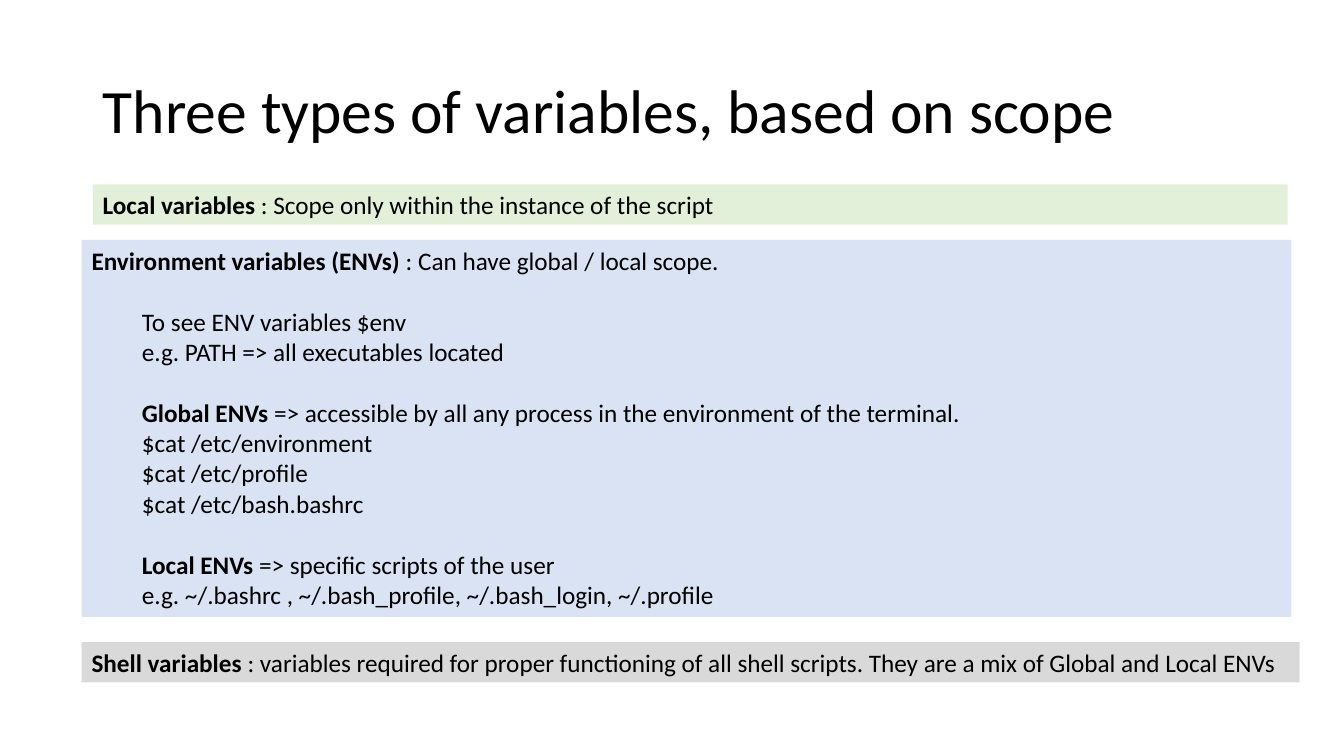
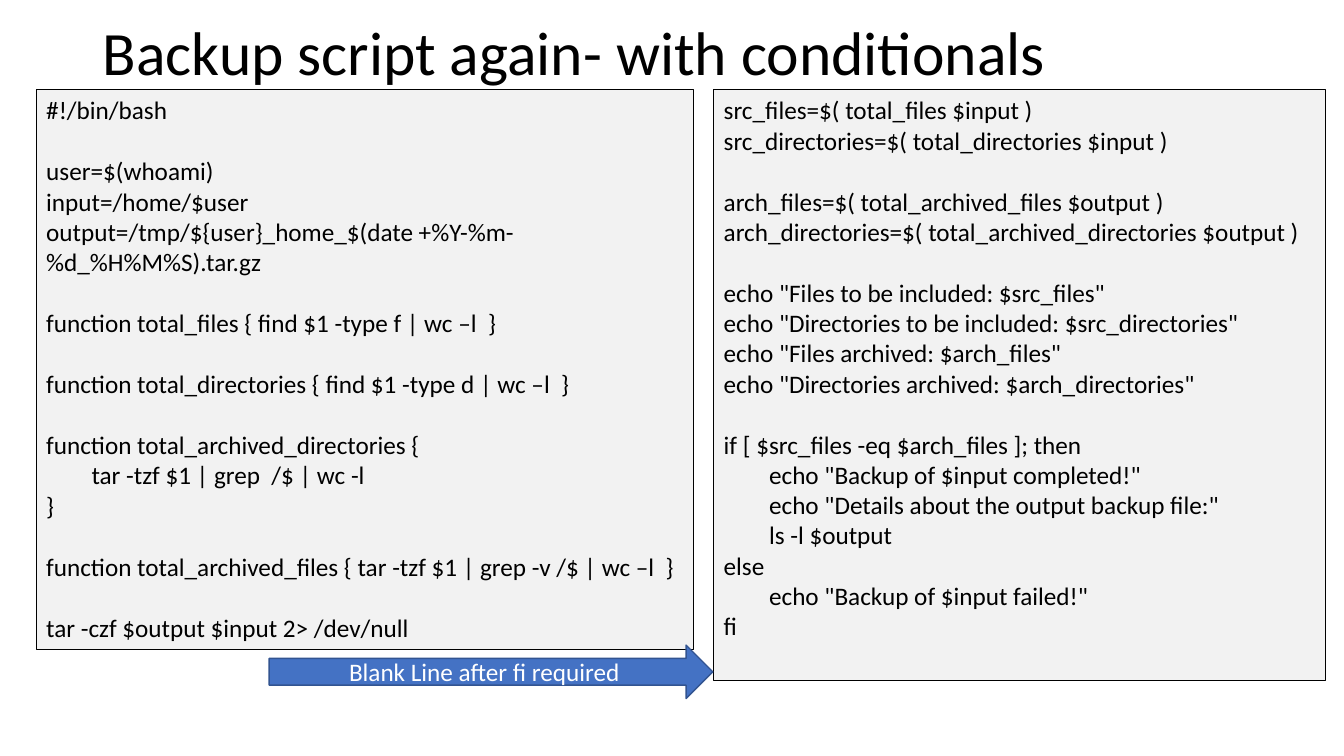
from pptx import Presentation
from pptx.dml.color import RGBColor
from pptx.enum.shapes import MSO_SHAPE
from pptx.enum.text import MSO_ANCHOR, MSO_AUTO_SIZE, PP_ALIGN
from pptx.util import Inches, Pt

FONT = "Calibri"
TEXT_SIZE = 18
TITLE_SIZE = 44
LINE_GAP = 22  # one text line, in points
CODE_INDENT = 0.45
LIST_INDENT = 0.5
COLORS = {
    "text": "000000",
    "white": "FFFFFF",
    "local": "E2F0D9",
    "environment": "DAE3F3",
    "shell": "D9D9D9",
    "code": "F2F2F2",
    "arrow": "4472C4",
    "arrow_edge": "325491",
}

# Each entry: bold lead, plain text, indent, gap before
LOCAL_LINES = [
    ("Local variables ", ": Scope only within the instance of the script", 0, False),
]
ENVIRONMENT_LINES = [
    ("Environment variables (ENVs) ", ": Can have global / local scope.", 0, False),
    ("", "To see ENV variables $env", LIST_INDENT, True),
    ("", "e.g. PATH => all executables located", LIST_INDENT, False),
    ("Global ENVs ", "=> accessible by all any process in the environment of the terminal.",
     LIST_INDENT, True),
    ("", "$cat /etc/environment", LIST_INDENT, False),
    ("", "$cat /etc/profile", LIST_INDENT, False),
    ("", "$cat /etc/bash.bashrc", LIST_INDENT, False),
    ("Local ENVs ", "=> specific scripts of the user", LIST_INDENT, True),
    ("", "e.g. ~/.bashrc , ~/.bash_profile, ~/.bash_login, ~/.profile", LIST_INDENT, False),
]
SHELL_LINES = [
    ("Shell variables ", ": variables required for proper functioning of all shell scripts. "
     "They are a mix of Global and Local ENVs", 0, False),
]

FUNCTIONS_CODE = """#!/bin/bash

user=$(whoami)
input=/home/$user
output=/tmp/${user}_home_$(date +%Y-%m-%d_%H%M%S).tar.gz

function total_files { find $1 -type f | wc –l  }

function total_directories { find $1 -type d | wc –l  }

function total_archived_directories {
    tar -tzf $1 | grep  /$ | wc -l
}

function total_archived_files { tar -tzf $1 | grep -v /$ | wc –l  }

tar -czf $output $input 2> /dev/null"""

REPORT_CODE = """src_files=$( total_files $input )
src_directories=$( total_directories $input )

arch_files=$( total_archived_files $output )
arch_directories=$( total_archived_directories $output )

echo "Files to be included: $src_files"
echo "Directories to be included: $src_directories"
echo "Files archived: $arch_files"
echo "Directories archived: $arch_directories"

if [ $src_files -eq $arch_files ]; then
    echo "Backup of $input completed!"
    echo "Details about the output backup file:"
    ls -l $output
else
    echo "Backup of $input failed!"
fi"""


def rgb(name):
    return RGBColor.from_string(COLORS[name])


def add_span(para, text, size=TEXT_SIZE, color="text", bold=False):
    span = para.add_run()
    span.text = text
    span.font.name = FONT
    span.font.size = Pt(size)
    span.font.bold = bold
    span.font.color.rgb = rgb(color)


def add_box(page, region, fill, edge=None, edge_width=0.75, kind=MSO_SHAPE.RECTANGLE):
    box = page.shapes.add_shape(kind, *map(Inches, region))
    box.shadow.inherit = False
    box.fill.solid()
    box.fill.fore_color.rgb = rgb(fill)
    if edge:
        box.line.color.rgb = rgb(edge)
        box.line.width = Pt(edge_width)
    else:
        box.line.fill.background()
    box.text_frame.word_wrap = True
    return box


def add_text_panel(page, region, lines, fill, edge=None):
    frame = add_box(page, region, fill, edge).text_frame
    frame.vertical_anchor = MSO_ANCHOR.TOP
    for number, (lead, text, indent, gap) in enumerate(lines):
        para = frame.add_paragraph() if number else frame.paragraphs[0]
        para.alignment = PP_ALIGN.LEFT
        para.space_before = Pt(LINE_GAP if gap else 0)
        if indent:
            para._p.get_or_add_pPr().set("marL", str(Inches(indent)))
        if lead:
            add_span(para, lead, bold=True)
        add_span(para, text)


def code_lines(code):
    """Turn blank lines into gaps and leading spaces into indents."""
    lines, gap = [], False
    for row in code.splitlines():
        if row:
            indent = CODE_INDENT if row.startswith(" ") else 0
            lines.append(("", row.lstrip(), indent, gap))
        gap = not row
    return lines


def add_code_panel(page, region, code):
    add_text_panel(page, region, code_lines(code), "code", "text")


def add_note_arrow(page, region, text):
    arrow = add_box(page, region, "arrow", "arrow_edge", 1, MSO_SHAPE.RIGHT_ARROW)
    arrow.text_frame.vertical_anchor = MSO_ANCHOR.MIDDLE
    para = arrow.text_frame.paragraphs[0]
    para.alignment = PP_ALIGN.CENTER
    add_span(para, text, color="white")


def add_page(deck, title, top, height):
    page = deck.slides.add_slide(deck.slide_layouts[5])  # Title Only
    box = page.shapes.title
    box.left, box.top, box.width, box.height = map(Inches, (0.92, top, 11.5, height))
    frame = box.text_frame
    frame.word_wrap = True
    frame.auto_size = MSO_AUTO_SIZE.NONE
    frame.vertical_anchor = MSO_ANCHOR.MIDDLE
    para = frame.paragraphs[0]
    para.alignment = PP_ALIGN.LEFT
    para.line_spacing = 0.9
    add_span(para, title, TITLE_SIZE)
    return page


def build_scope_page(deck):
    page = add_page(deck, "Three types of variables, based on scope", 0.4, 1.45)
    add_text_panel(page, (0.92, 1.83, 11.85, 0.4), LOCAL_LINES, "local")
    add_text_panel(page, (0.81, 2.38, 12, 3.74), ENVIRONMENT_LINES, "environment")
    add_text_panel(page, (0.81, 6.37, 12.08, 0.4), SHELL_LINES, "shell")


def build_backup_page(deck):
    page = add_page(deck, "Backup script again- with conditionals", 0.16, 0.78)
    add_code_panel(page, (0.36, 0.89, 6.52, 5.55), FUNCTIONS_CODE)
    add_code_panel(page, (7.08, 0.89, 6.07, 5.86), REPORT_CODE)
    add_note_arrow(page, (2.67, 6.4, 4.4, 0.53), "Blank Line after fi required")


def main():
    deck = Presentation()
    deck.slide_width = Inches(13.33)
    deck.slide_height = Inches(7.5)
    build_scope_page(deck)
    build_backup_page(deck)
    deck.save("out.pptx")


if __name__ == "__main__":
    main()
